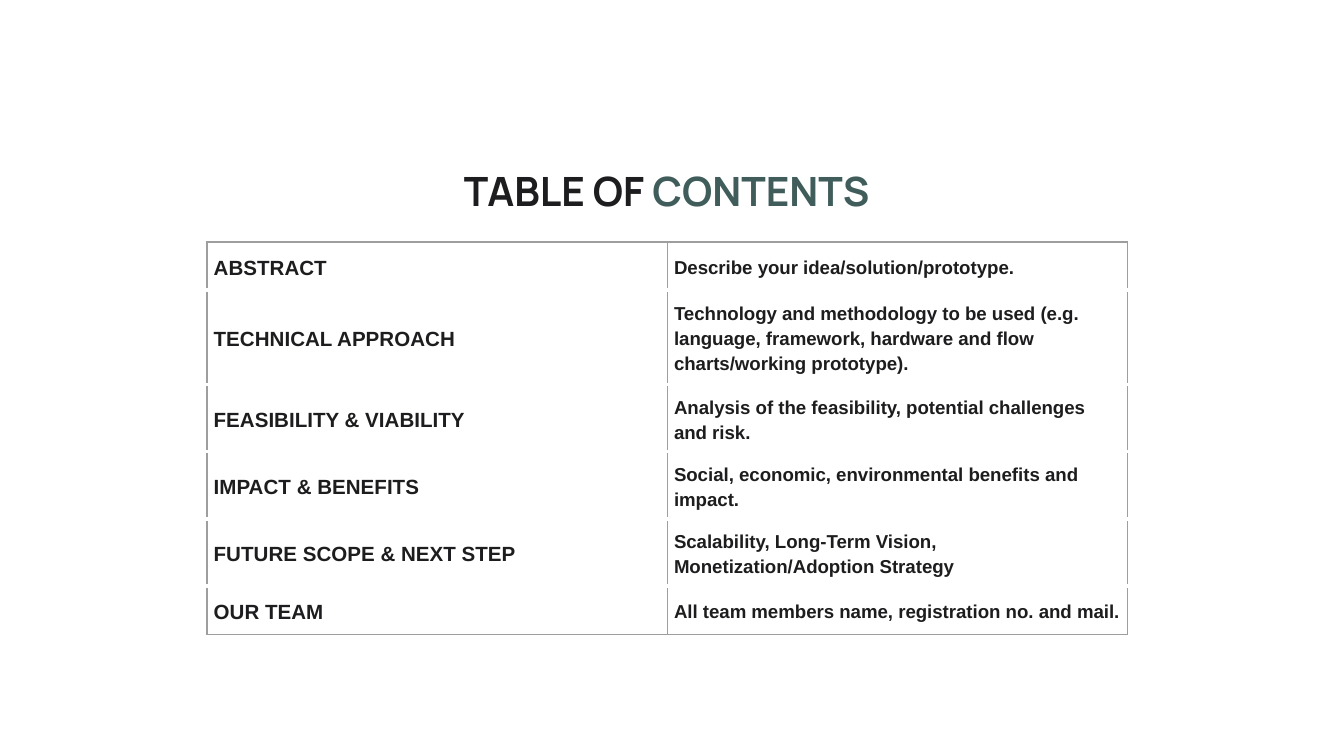
import pptx
import pptx.dml.color
import pptx.enum.text
import pptx.oxml
import pptx.oxml.ns
import pptx.util
from pptx.util import Inches

COLORS = {"ink": "1D1D1F", "accent": "405D5C", "grid": "9E9E9E", "paper": "FFFFFF"}

# Heading, description and minimum row height in inches
CONTENTS = [
    ("ABSTRACT", "Describe your idea/solution/prototype.", 0.36),
    ("TECHNICAL APPROACH",
     "Technology and methodology to be used (e.g. language, framework, "
     "hardware and flow charts/working prototype).", 0.4),
    ("FEASIBILITY & VIABILITY",
     "Analysis of the feasibility, potential challenges and risk.", 0.36),
    ("IMPACT & BENEFITS",
     "Social, economic, environmental benefits and impact.", 0.36),
    ("FUTURE SCOPE & NEXT STEP",
     "Scalability, Long-Term Vision, Monetization/Adoption Strategy", 0.4),
    ("OUR TEAM", "All team members name, registration no. and mail.", 0.36),
]


def rgb(name):
    return pptx.dml.color.RGBColor.from_string(COLORS[name])


def add_span(para, text, size, font="Arial", color="ink"):
    """Append a bold run to a paragraph."""
    span = para.add_run()
    span.text = text
    span.font.name = font
    span.font.size = pptx.util.Pt(size)
    span.font.bold = True
    span.font.color.rgb = rgb(color)


def add_title(page):
    box = page.shapes.add_textbox(Inches(1.03), Inches(0.99), Inches(7.86), Inches(0.53))
    frame = box.text_frame
    frame.word_wrap = True
    frame.margin_left = frame.margin_right = Inches(0.1)
    frame.margin_top = frame.margin_bottom = Inches(0.1)
    para = frame.paragraphs[0]
    para.alignment = pptx.enum.text.PP_ALIGN.CENTER
    para.line_spacing = 1.4
    add_span(para, "TABLE OF ", 21.6, font="Manrope")
    add_span(para, "CONTENTS", 21.6, font="Manrope", color="accent")


def set_borders(cell, **sides):
    """Draw cell borders; each side is a (color name, width in points) pair."""
    properties = cell._tc.get_or_add_tcPr()
    for index, side in enumerate("LRTB"):
        color, width = sides[side]
        line = pptx.oxml.parse_xml(
            f'<a:ln{side} {pptx.oxml.ns.nsdecls("a")} w="{pptx.util.Pt(width)}">'
            f'<a:solidFill><a:srgbClr val="{COLORS[color]}"/></a:solidFill></a:ln{side}>')
        properties.insert(index, line)


def fill_cell(cell, text, size):
    cell.fill.background()
    cell.vertical_anchor = pptx.enum.text.MSO_ANCHOR.MIDDLE
    cell.margin_left = cell.margin_right = Inches(0.05)
    cell.margin_top = cell.margin_bottom = Inches(0.05)
    para = cell.text_frame.paragraphs[0]
    para.line_spacing = 1.2
    add_span(para, text, size)


def add_contents_table(page):
    height = sum(row_height for _, _, row_height in CONTENTS)
    table = page.shapes.add_table(len(CONTENTS), 2, Inches(1.54), Inches(1.8),
                                  Inches(6.85), Inches(height)).table
    table.first_row = table.horz_banding = False
    outer, gap = ("grid", 0.75), ("paper", 2.25)
    last = len(CONTENTS) - 1
    for row, (heading, description, row_height) in enumerate(CONTENTS):
        table.rows[row].height = Inches(row_height)
        for column, (text, size) in enumerate([(heading, 11), (description, 10)]):
            cell = table.cell(row, column)
            fill_cell(cell, text, size)
            # White gaps separate the rows; grey lines frame the table
            set_borders(cell, L=outer, R=outer,
                        T=outer if row == 0 else gap,
                        B=outer if row == last else gap)


def main():
    deck = pptx.Presentation()
    # Widescreen, 16 by 9
    deck.slide_width = Inches(10)
    deck.slide_height = deck.slide_width * 9 // 16
    page = deck.slides.add_slide(deck.slide_layouts[6])
    add_title(page)
    add_contents_table(page)
    deck.save("out.pptx")


if __name__ == "__main__":
    main()
